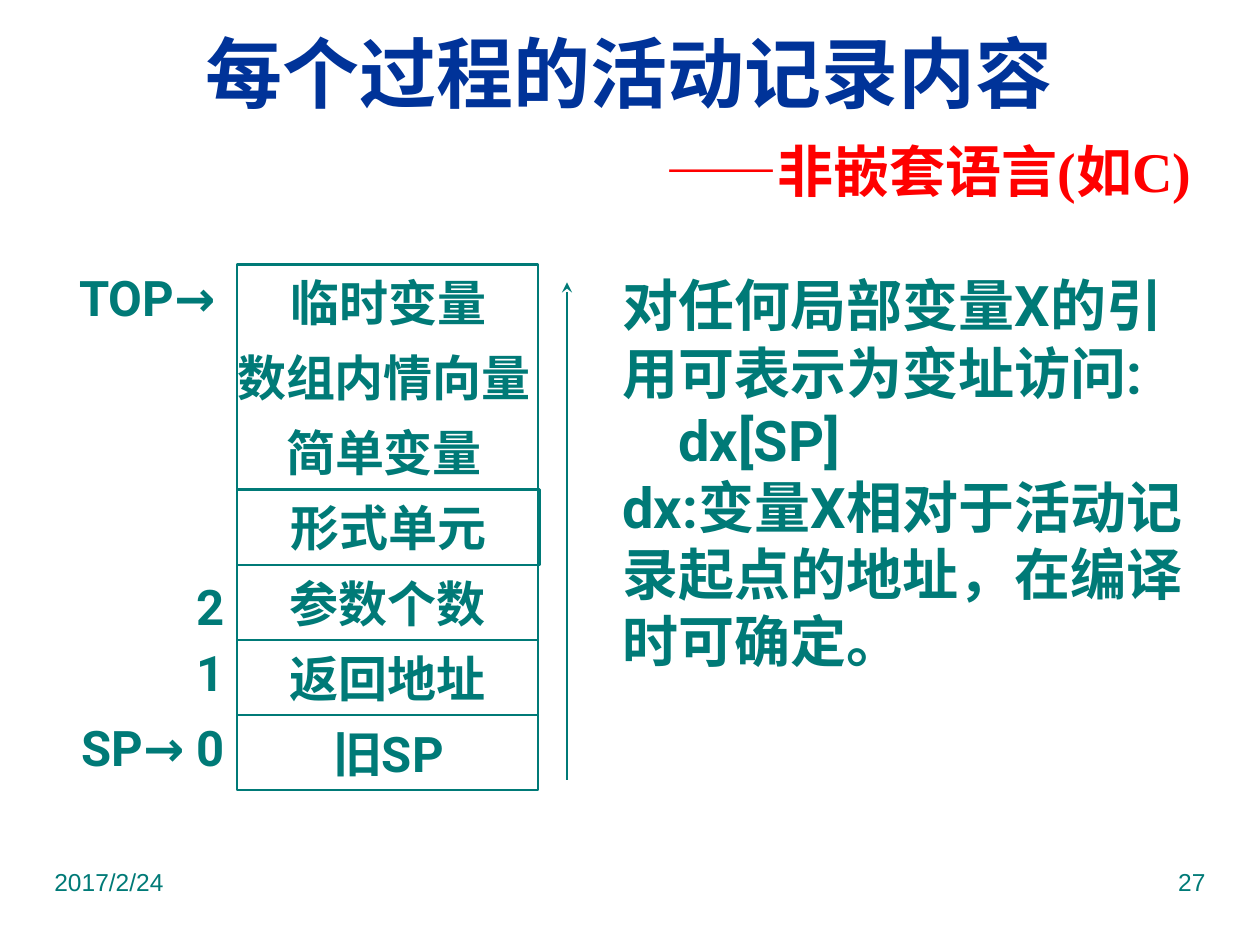
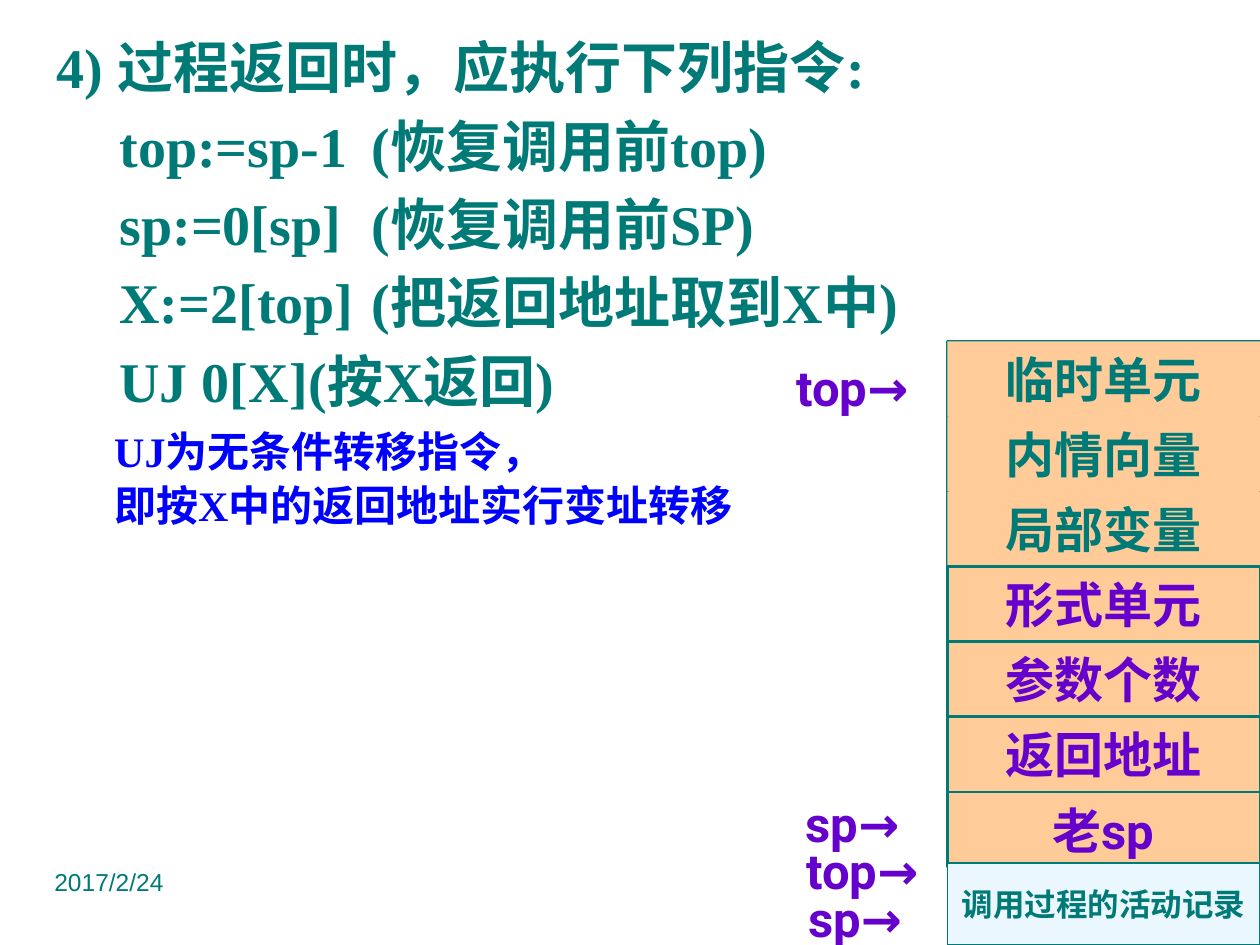
from dataclasses import dataclass

from lxml import etree
from pptx import Presentation
from pptx import util as u
from pptx.dml.color import RGBColor
from pptx.enum import shapes, text
from pptx.oxml import ns

Pt = u.Pt
LEFT, CENTER, RIGHT = text.PP_ALIGN.LEFT, text.PP_ALIGN.CENTER, text.PP_ALIGN.RIGHT
TOP, MIDDLE = text.MSO_ANCHOR.TOP, text.MSO_ANCHOR.MIDDLE


@dataclass(frozen=True)
class Theme:
    teal: str = "007A77"
    navy: str = "003399"
    red: str = "FF0000"
    blue: str = "0000FF"
    purple: str = "6600CC"
    peach: str = "FFCC99"
    pale: str = "EBF7FF"
    sans: str = "Roboto"
    serif: str = "Times New Roman"
    footer_font: str = "Arial"
    title_size: float = 44
    body_size: float = 32
    cell_size: float = 28
    note_size: float = 24
    caption_size: float = 18
    footer_size: float = 14
    line_width: float = 1.5


class SlideBuilder:
    """Holds the style and the slide being built."""

    row_height = 42.9

    def __init__(self, deck, theme):
        self.deck = deck
        self.theme = theme
        self.page = None

    def start(self, layout, number=None):
        self.page = self.deck.slides.add_slide(self.deck.slide_layouts[layout])
        self.footer("2017/2/24", 24, LEFT)
        if number:
            self.footer(number, 516, RIGHT)

    def footer(self, words, left, align):
        frame = self.text_box(left, 492, 180, 37)
        self.set_text(frame.paragraphs[0], words, self.theme.footer_size,
                      font=self.theme.footer_font, bold=False, align=align)

    def set_text(self, para, words, size, color=None, font=None, bold=True,
                 align=LEFT, before=0):
        para.text = words
        para.alignment = align
        para.space_before = Pt(before)
        for span in para.runs:
            span.font.size = Pt(size)
            span.font.name = font or self.theme.sans
            span.font.bold = bold
            span.font.color.rgb = RGBColor.from_string(color or self.theme.teal)

    def indent(self, para, left=0, tabs=()):
        properties = para._p.get_or_add_pPr()
        properties.set("marL", str(Pt(left)))
        properties.set("indent", "0")
        if tabs:
            stops = etree.SubElement(properties, ns.qn("a:tabLst"))
            for position in tabs:
                etree.SubElement(stops, ns.qn("a:tab"), pos=str(Pt(position)), algn="l")

    def text_box(self, left, top, width, height, anchor=TOP, wrap=True):
        box = self.page.shapes.add_textbox(Pt(left), Pt(top), Pt(width), Pt(height))
        frame = box.text_frame
        frame.auto_size = text.MSO_AUTO_SIZE.NONE
        frame.word_wrap = wrap
        frame.vertical_anchor = anchor
        return frame

    def title(self, heading, subtitle):
        holder = self.page.shapes.title
        holder.left, holder.top, holder.width, holder.height = map(Pt, (14.4, 8, 690.5, 115))
        frame = holder.text_frame
        frame.auto_size = text.MSO_AUTO_SIZE.NONE
        frame.vertical_anchor = MIDDLE
        frame.margin_left = frame.margin_right = Pt(24)
        self.set_text(frame.paragraphs[0], heading, self.theme.title_size,
                      self.theme.navy, self.theme.serif, align=CENTER)
        self.set_text(frame.add_paragraph(), subtitle, self.theme.body_size,
                      self.theme.red, self.theme.serif, align=RIGHT, before=11)

    def label(self, words, left, top, width, height, color=None, align=CENTER):
        frame = self.text_box(left, top, width, height, MIDDLE, wrap=False)
        frame.margin_top = frame.margin_bottom = 0
        self.set_text(frame.paragraphs[0], words, self.theme.cell_size, color, align=align)

    def rectangle(self, left, top, width, height, words="", fill=None, outline=None,
                  size=None, color=None):
        box = self.page.shapes.add_shape(shapes.MSO_SHAPE.RECTANGLE,
                                         Pt(left), Pt(top), Pt(width), Pt(height))
        box.shadow.inherit = False
        if fill:
            box.fill.solid()
            box.fill.fore_color.rgb = RGBColor.from_string(fill)
        else:
            box.fill.background()
        if outline:
            box.line.color.rgb = RGBColor.from_string(self.theme.teal)
            box.line.width = Pt(outline)
        else:
            box.line.fill.background()
        if words:
            frame = box.text_frame
            frame.word_wrap = False
            frame.vertical_anchor = MIDDLE
            self.set_text(frame.paragraphs[0], words, size or self.theme.cell_size,
                          color, align=CENTER)

    def record(self, left, top, width, rows, fill=None):
        """Stack of rows in a frame; each row is (words, width, outlined, color)."""
        line = self.theme.line_width
        self.rectangle(left, top, width, self.row_height * len(rows), fill=fill, outline=line)
        for index, (words, row_width, outlined, color) in enumerate(rows):
            self.rectangle(left, top + index * self.row_height, row_width, self.row_height,
                           words, fill, line if outlined else None, color=color)

    def arrow(self, x, start, end):
        line = self.page.shapes.add_connector(shapes.MSO_CONNECTOR.STRAIGHT,
                                              Pt(x), Pt(start), Pt(x), Pt(end))
        line.line.color.rgb = RGBColor.from_string(self.theme.teal)
        line.line.width = Pt(self.theme.line_width)
        etree.SubElement(line.line._get_or_add_ln(), ns.qn("a:tailEnd"), type="stealth")
        etree.SubElement(line._element.spPr, ns.qn("a:effectLst"))


def record_contents(slide):
    theme = slide.theme
    slide.start(5, "27")
    slide.title("每个过程的活动记录内容", "——非嵌套语言(如C)")

    # Activation record
    slide.record(135.4, 151.2, 172, [
        ("临时变量", 173, False, theme.teal),
        ("数组内情向量", 168, False, theme.teal),
        ("简单变量", 168, False, theme.teal),
        ("形式单元", 173, True, theme.teal),
        ("参数个数", 172, True, theme.teal),
        ("返回地址", 172, True, theme.teal),
        ("旧SP", 173, False, theme.teal),
    ])
    slide.arrow(324, 445.7, 161.3)

    # Pointers and offsets beside the record
    slide.label("TOP→", 44.7, 151.2, 79, 37.4)
    slide.label("2", 90, 327.6, 45.4, 37.4, align=RIGHT)
    slide.label("1", 90, 365, 45.4, 37.4, align=RIGHT)
    slide.label("SP→ 0", 47.5, 408.2, 80, 37.4)

    # Explanation
    frame = slide.text_box(348.5, 151.2, 354.2, 306)
    frame.text = "\n".join([
        "对任何局部变量X的引用可表示为变址访问:",
        "dx[SP]",
        "dx:变量X相对于活动记录起点的地址，在编译时可确定。",
    ])
    for para, left in zip(frame.paragraphs, (0, 32, 0)):
        slide.indent(para, left)
        slide.set_text(para, para.text, theme.body_size)


def procedure_return(slide):
    theme = slide.theme
    slide.start(6)

    # Instructions, with the tab stop of each comment
    frame = slide.text_box(25.2, 15.1, 666, 323.3)
    slide.set_text(frame.paragraphs[0], "4) 过程返回时，应执行下列指令:",
                   theme.body_size, font=theme.serif)
    near, far = 171.4, 243.4
    for code, comment, stop in (
        ("top:=sp-1", "(恢复调用前top)", far),
        ("sp:=0[sp]", "(恢复调用前SP)", near),
        ("X:=2[top]", "(把返回地址取到X中)", far),
        ("UJ 0[X]", "(按X返回)", near),
    ):
        para = frame.add_paragraph()
        slide.indent(para, tabs=(27.4, stop))
        slide.set_text(para, f"\t{code}\t{comment}", theme.body_size,
                       font=theme.serif, before=6.4)
    for words, before in (("UJ为无条件转移指令，", 7),
                          ("即按X中的返回地址实行变址转移", 2)):
        para = frame.add_paragraph()
        slide.indent(para, 33)
        slide.set_text(para, words, theme.note_size, theme.blue, theme.serif, before=before)

    # Activation record above the caller's record
    left, width = 541.4, 178.6
    kept = ("临时单元", "内情向量", "局部变量")
    linked = ("形式单元", "参数个数", "返回地址", "老sp")
    slide.record(left, 195.1, width,
                 [(words, width, False, theme.teal) for words in kept]
                 + [(words, width, True, theme.purple) for words in linked],
                 theme.peach)
    slide.rectangle(left, 493.2, width, 46.8, "调用过程的活动记录", theme.pale, 1,
                    theme.caption_size)

    # Pointers
    for words, x, y in (("top→", 427.7, 206.4), ("sp→", 427.7, 455.5),
                        ("top→", 433.4, 482.1), ("sp→", 429.1, 509.5)):
        slide.label(words, x, y, 118.8, 30, theme.purple)


def main():
    deck = Presentation()
    deck.slide_width, deck.slide_height = Pt(720), Pt(540)
    slide = SlideBuilder(deck, Theme())
    record_contents(slide)
    procedure_return(slide)
    deck.save("out.pptx")


if __name__ == "__main__":
    main()
